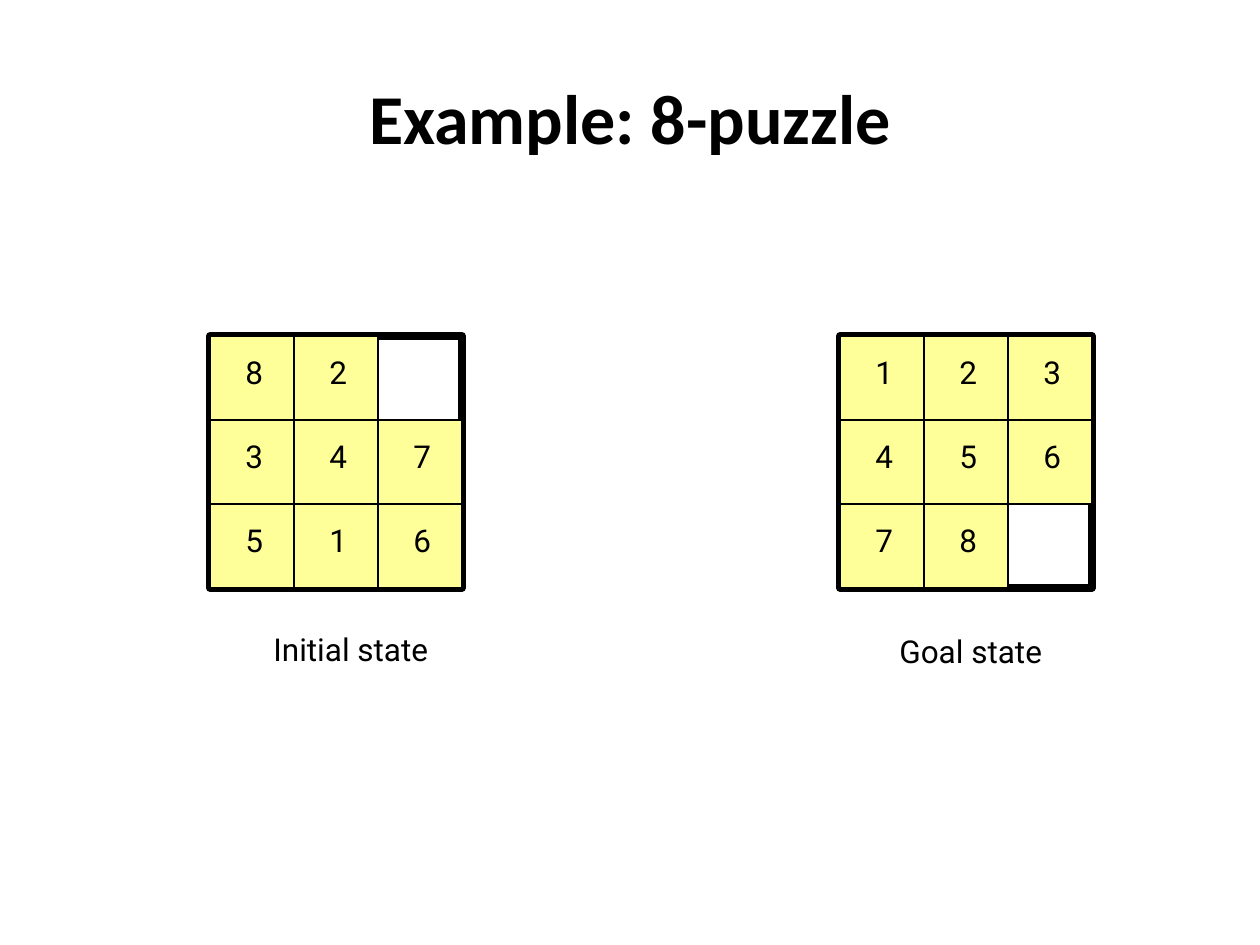
from pptx import Presentation
from pptx.dml.color import RGBColor
from pptx.enum.shapes import MSO_SHAPE
from pptx.enum.text import MSO_ANCHOR, MSO_AUTO_SIZE, PP_ALIGN
from pptx.util import Emu, Pt

RECT = MSO_SHAPE.RECTANGLE
MIDDLE, TOP = MSO_ANCHOR.MIDDLE, MSO_ANCHOR.TOP
CENTER, LEFT = PP_ALIGN.CENTER, PP_ALIGN.LEFT
FIT_SHAPE, NO_FIT = MSO_AUTO_SIZE.SHAPE_TO_FIT_TEXT, MSO_AUTO_SIZE.NONE

PX_PER_INCH = 126
COLORS = {"ink": "000000", "tile": "FFFF99"}
TILE = 84
BOARD_TOP = 336
LABEL_HEIGHT = 50

TITLE_FONT = {"name": "Calibri", "size": Pt(40), "bold": True}
LABEL_FONT = {"name": "Roboto", "size": Pt(18)}
TITLE_FRAME = {"word_wrap": True, "auto_size": NO_FIT, "vertical_anchor": MIDDLE}
LABEL_FRAME = {"word_wrap": False, "auto_size": FIT_SHAPE, "vertical_anchor": TOP}

# Board left edge, rows of tiles (0 is the gap), caption and its box
BOARDS = [
    (210, [(8, 2, 0), (3, 4, 7), (5, 1, 6)], "Initial state", (261, 624, 190)),
    (840, [(1, 2, 3), (4, 5, 6), (7, 8, 0)], "Goal state", (887, 626, 174)),
]


def px(*values):
    return [Emu(round(v * 914400 / PX_PER_INCH)) for v in values]


def rgb(name):
    return RGBColor.from_string(COLORS[name])


def set_all(target, values):
    for name, value in values.items():
        setattr(target, name, value)


def add_text(shapes, text, box, frame=LABEL_FRAME, font=LABEL_FONT, align=LEFT):
    tf = shapes.add_textbox(*px(*box)).text_frame
    set_all(tf, frame)
    p = tf.paragraphs[0]
    p.alignment = align
    r = p.add_run()
    r.text = text
    set_all(r.font, font)
    r.font.color.rgb = rgb("ink")


def add_square(shapes, x, y, side, line_width, fill=None):
    sp = shapes.add_shape(RECT, *px(x, y, side, side))
    sp.shadow.inherit = False
    if fill:
        sp.fill.solid()
        sp.fill.fore_color.rgb = rgb(fill)
    else:
        sp.fill.background()
    sp.line.color.rgb = rgb("ink")
    sp.line.width = Pt(line_width)


def add_board(slide, left, rows):
    shapes = slide.shapes.add_group_shape().shapes
    add_square(shapes, left, BOARD_TOP, 3 * TILE, 4.5)
    tiles = [(left + col * TILE, BOARD_TOP + row * TILE, number)
             for row, numbers in enumerate(rows)
             for col, number in enumerate(numbers) if number]
    for x, y, _ in tiles:
        add_square(shapes, x, y, TILE, 0.75, "tile")
    for x, y, number in tiles:
        add_text(shapes, str(number), (x + 23, y + 11, 43, LABEL_HEIGHT))


def main():
    prs = Presentation()
    prs.slide_width, prs.slide_height = px(1260, 945)
    s = prs.slides.add_slide(prs.slide_layouts[6])

    # Title
    add_text(s.shapes, "Example: 8-puzzle", (63, 38, 1134, 158),
             TITLE_FRAME, TITLE_FONT, CENTER)

    # Boards with captions
    for left, rows, caption, caption_box in BOARDS:
        add_board(s, left, rows)
        add_text(s.shapes, caption, (*caption_box, LABEL_HEIGHT))

    prs.save("out.pptx")


if __name__ == "__main__":
    main()
